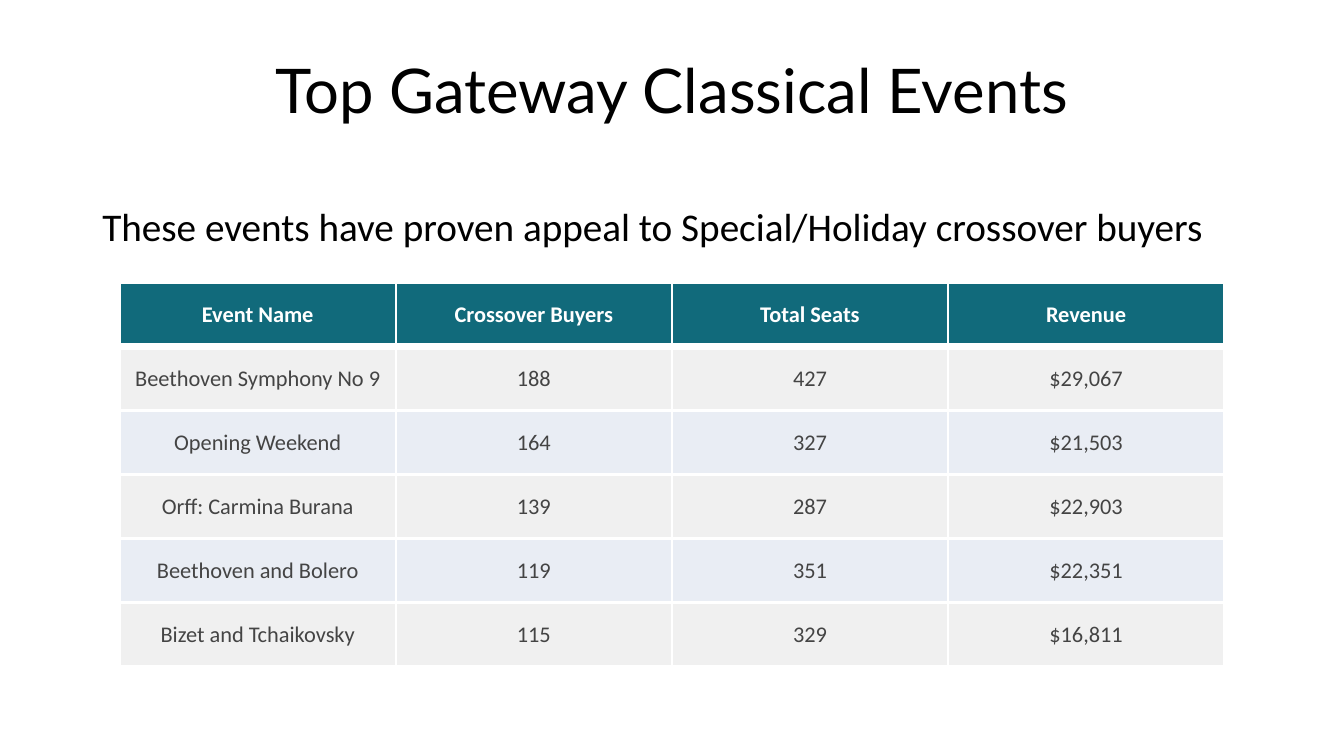
from lxml.etree import SubElement as Sub
from pptx import Presentation
from pptx.dml.color import RGBColor as RGB
from pptx.enum.text import MSO_ANCHOR as Anchor, PP_ALIGN as Align
from pptx.oxml.ns import qn
from pptx.util import Emu, Pt

ROWS = [
    ("Event Name", "Crossover Buyers", "Total Seats", "Revenue"),
    ("Beethoven Symphony No 9", "188", "427", "$29,067"),
    ("Opening Weekend", "164", "327", "$21,503"),
    ("Orff: Carmina Burana", "139", "287", "$22,903"),
    ("Beethoven and Bolero", "119", "351", "$22,351"),
    ("Bizet and Tchaikovsky", "115", "329", "$16,811"),
]
COL, ROW = 263, 61
TEAL, GREY, BLUE = "116A7B", "F0F0F0", "E9EDF4"
WHITE, BLACK, DARK = "FFFFFF", "000000", "444444"
THIN, THICK = 1.98, 6


def px(n):
    return Emu(n * 9525)


def color(code):
    return RGB.from_string(code)


def style(para, size, face, ink, align, bold=False):
    para.alignment = align
    for run in para.runs:
        font = run.font
        font.size, font.name, font.bold = Pt(size), face, bold
        font.color.rgb = color(ink)


def add_text(slide, box, text, size, face, align, anchor):
    frame = slide.shapes.add_textbox(*map(px, box)).text_frame
    frame.word_wrap = True
    frame.vertical_anchor = anchor
    frame.text = text
    para = frame.paragraphs[0]
    para.line_spacing = 0.9
    style(para, size, face, BLACK, align)


def add_edge(cell, side, width):
    line = Sub(cell._tc.get_or_add_tcPr(), qn("a:" + side), w=str(Pt(width)))
    fill = Sub(line, qn("a:solidFill"))
    Sub(fill, qn("a:srgbClr"), val=WHITE)


def fill_cell(cell, text, row):
    """Set borders before the fill, as the schema order requires."""
    head = row == 0
    add_edge(cell, "lnL", THIN)
    add_edge(cell, "lnR", THIN)
    add_edge(cell, "lnT", THICK if row == 1 else THIN)
    add_edge(cell, "lnB", THICK if head else THIN)
    cell.fill.solid()
    cell.fill.fore_color.rgb = color(TEAL if head else GREY if row % 2 else BLUE)
    cell.vertical_anchor = Anchor.MIDDLE
    cell.text_frame.text = text
    para = cell.text_frame.paragraphs[0]
    style(para, 16, "Calibri", WHITE if head else DARK, Align.CENTER, head)


def add_grid(slide, left, top):
    rows, cols = len(ROWS), len(ROWS[0])
    box = left, top, cols * COL, rows * ROW
    table = slide.shapes.add_table(rows, cols, *map(px, box)).table
    for r, row in enumerate(ROWS):
        for c, text in enumerate(row):
            fill_cell(table.cell(r, c), text, r)


def main():
    deck = Presentation()
    deck.slide_width, deck.slide_height = px(1280), px(720)
    slide = deck.slides.add_slide(deck.slide_layouts[6])
    add_text(slide, (88, 20, 1104, 139), "Top Gateway Classical Events",
             44, "Lato", Align.CENTER, Anchor.MIDDLE)
    add_grid(slide, 114, 269)
    add_text(slide, (88, 193, 1104, 52),
             "These events have proven appeal to Special/Holiday crossover buyers",
             28, "Calibri", Align.LEFT, Anchor.TOP)
    deck.save("out.pptx")


if __name__ == "__main__":
    main()
